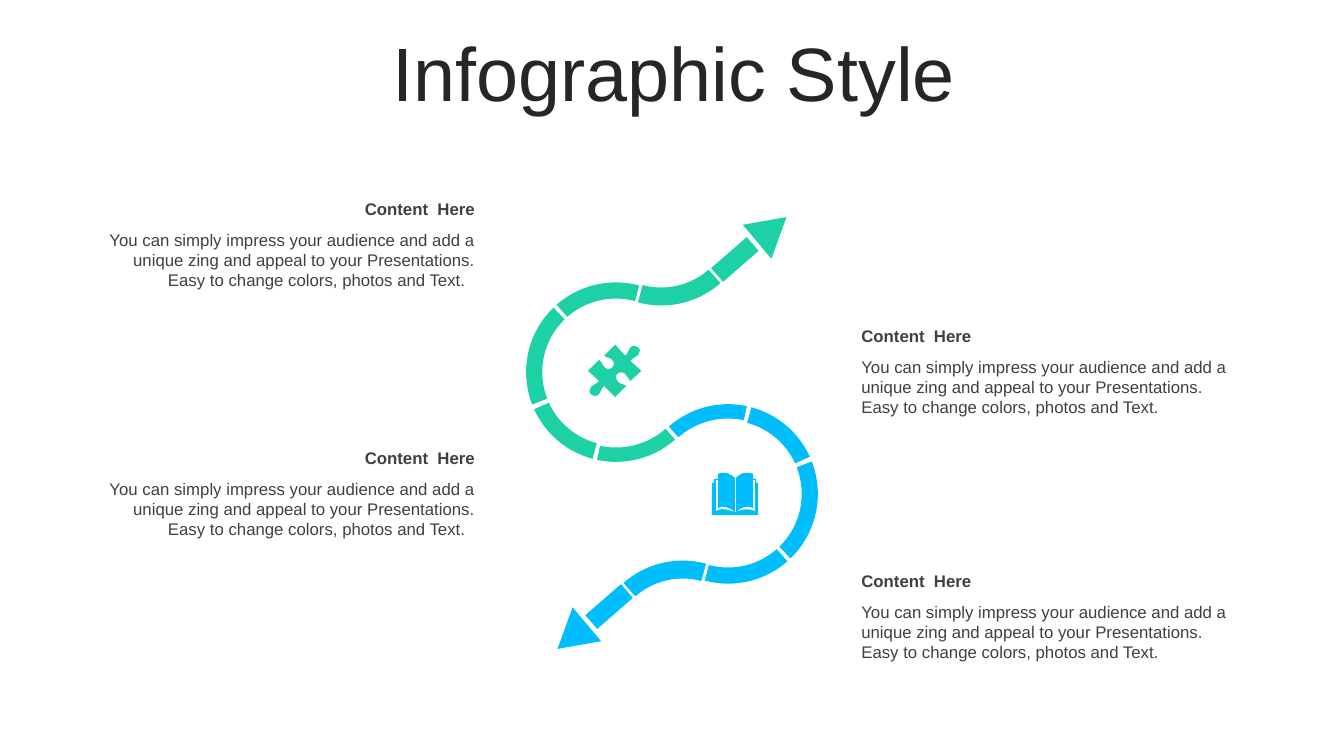
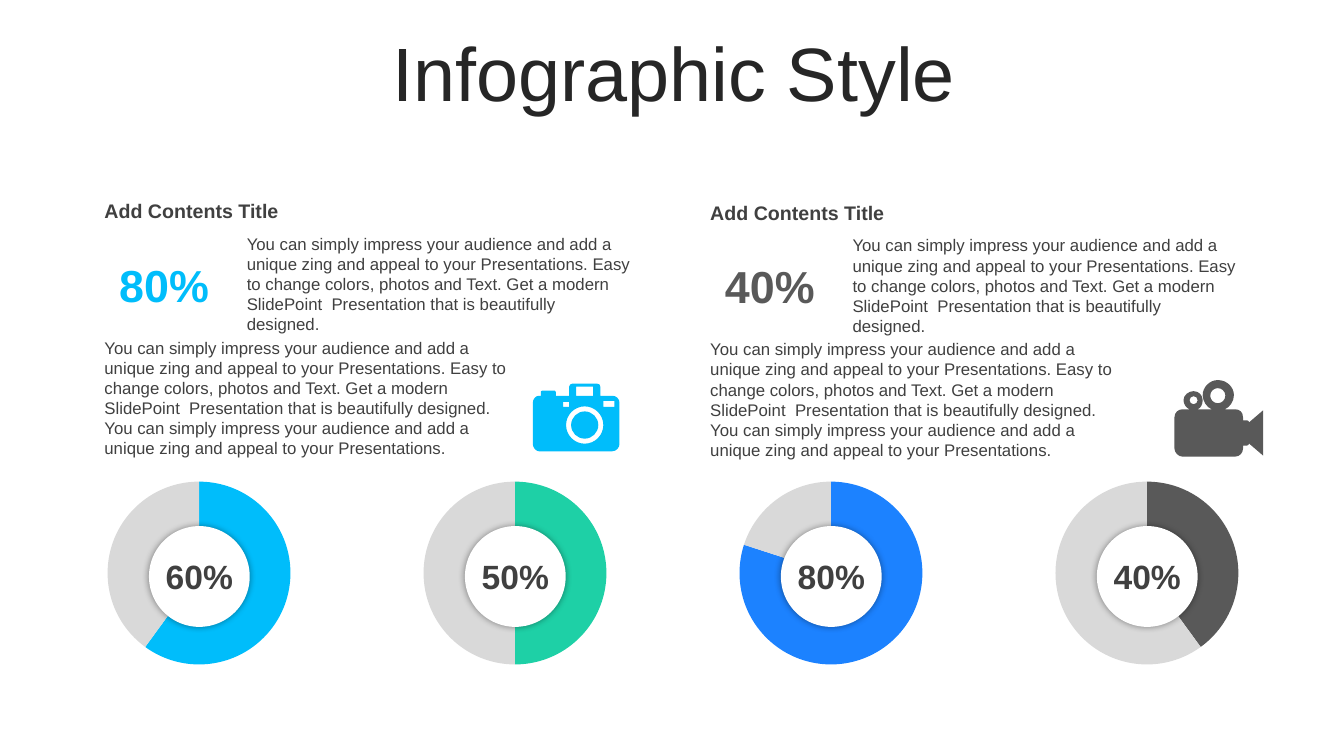
import pptx
import pptx.chart.data
import pptx.dml.color
import pptx.enum.chart
import pptx.enum.shapes
import pptx.enum.text
import pptx.oxml
import pptx.oxml.ns
import pptx.util

Pt = pptx.util.Pt
qn = pptx.oxml.ns.qn
SHAPE = pptx.enum.shapes.MSO_SHAPE
ALIGN = pptx.enum.text.PP_ALIGN
ANCHOR = pptx.enum.text.MSO_ANCHOR

# Shared style
FONT = "Arial"
INK, TITLE_INK = "404040", "262626"
GREEN, CYAN, BLUE, GRAY = "1ED0A6", "00BDFB", "1C82FF", "595959"
WHITE, TRACK = "FFFFFF", "D9D9D9"
TITLE = "Infographic Style"

# Content
PITCH = ("You can simply impress your audience and add a unique zing and appeal "
         "to your Presentations.")
SHORT_TEXT = PITCH + " Easy to change colors, photos and Text."
LONG_TEXT = SHORT_TEXT + " Get a modern SlidePoint  Presentation that is beautifully designed."

# left, top, width, alignment, text
LEFT_NOTE = SHORT_TEXT + "  "
NOTES = [
    (64.8, 138.6, 281.5, ALIGN.RIGHT, LEFT_NOTE),
    (608.2, 229.3, 278.3, ALIGN.LEFT, SHORT_TEXT),
    (64.8, 316.4, 281.5, ALIGN.RIGHT, LEFT_NOTE),
    (608.2, 404.4, 278.3, ALIGN.LEFT, SHORT_TEXT),
]

# left, top, share, colour
PANELS = [(67.5, 138.6, "80%", CYAN), (500.2, 139.8, "40%", GRAY)]

DONUTS = [(60, CYAN), (50, GREEN), (80, BLUE), (40, GRAY)]

# Upper half of the winding arrow; the lower half is its half turn
# shape, centre x, centre y, width, height, rotation, adjustments
ROAD_CENTER = (480, 309.3)
BEND = (SHAPE.BLOCK_ARC, 439.9, 265.8, 128.2, 128.2)
ROAD = [
    (*BEND, 285, (140.29, 180.58, 0.09)),
    (*BEND, 285, (182.21, 0.07, 0.09)),
    (*BEND, 285, (108, 138.3, 0.09)),
    (*BEND, 105, (182.21, 214.26, 0.08)),
    (SHAPE.BLOCK_ARC, 472.3, 154.1, 128.2, 128.2, 105, (182.21, 0.02, 0.1)),
    (SHAPE.RECTANGLE, 524.9, 185.4, 13, 33.8, 49, ()),
    (SHAPE.ISOSCELES_TRIANGLE, 551.3, 163.9, 31.7, 27.4, 50, ()),
]

# Icon outlines: M move, L line, C curve, O circle (centre, radius), R rectangle
ICON_UNIT = 0.72
ARITY = {"M": 2, "L": 2, "C": 6, "O": 3, "R": 4}
PUZZLE = """
M 50 3 C 52 4 52 8 50 10 C 48 13 45 12 42 16 L 53 26 L 42 36
C 39 34 40 31 37 29 C 35 27 31 27 29 29 C 28 30 27 34 30 37 C 33 40 34 38 38 41
L 27 52 L 16 41 C 12 45 14 46 11 49 C 9 52 5 51 3 49 C 1 48 1 44 3 42
C 5 39 8 40 11 36 L 0 26 L 11 15 C 15 18 14 21 17 23 C 19 25 22 25 24 23
C 26 21 27 18 24 15 C 21 12 20 14 16 11 L 27 0 L 37 11 C 41 7 39 6 42 3
C 45 0 48 1 50 3"""
BOOK = """
M 23 39 L 24 39 C 31 36 35 35 43 38 L 43 7 L 41 7 C 41 16 41 25 41 35
C 35 32 29 34 24 39 L 24 5 C 27 2 30 0 34 0 C 36 0 38 0 41 1 L 41 6 L 44 6 L 44 10
L 46 10 L 46 42 L 0 42 L 0 10 L 2 10 L 2 6 L 6 6 L 6 1 C 8 0 10 0 12 0
C 16 0 19 2 23 5 L 23 39 C 17 34 11 32 6 35 L 6 7 L 4 7 L 4 38 C 11 34 16 37 23 39"""
CAMERA = """
O 51.5 41 13.5 O 51.5 41 18.5 R 30 18 6 5 R 70 17 11 6 R 43 3 17 9
M 39 0 L 64 0 C 66 0 67 1 67 3 L 67 12 L 79 12 C 83 12 86 15 86 19 L 86 60
C 86 63 83 67 79 67 L 6 67 C 3 67 0 63 0 60 L 0 19 C 0 15 3 12 6 12 L 8 12 L 8 9
C 8 8 8 7 9 7 L 22 7 C 22 7 23 8 23 9 L 23 12 L 36 12 L 36 3 C 36 1 38 0 39 0"""
MOVIE = """
O 19 20 4 O 43 15.5 7.5
M 43 0 C 52 0 59 7 59 15 C 59 21 55 27 50 29 L 60 29 C 65 29 68 32 68 37 L 68 40
L 72 40 C 73 40 74 41 74 42 L 88 30 L 88 75 L 74 63 C 74 64 73 65 72 65 L 68 65
L 68 68 C 68 72 65 76 60 76 L 8 76 C 4 76 0 72 0 68 L 0 37 C 0 32 4 29 8 29
L 15 29 C 12 28 9 24 9 20 C 9 15 14 11 19 11 C 24 11 28 15 28 20
C 28 24 26 28 23 29 L 37 29 C 32 27 28 21 28 15 C 28 7 35 0 43 0"""


def rgb(color):
    return pptx.dml.color.RGBColor.from_string(color)


def set_font(para, size, color, bold=False):
    font = para.font
    font.name, font.size, font.bold = FONT, Pt(size), bold
    font.color.rgb = rgb(color)


def paint(shape, color):
    shape.shadow.inherit = False
    shape.fill.solid()
    shape.fill.fore_color.rgb = rgb(color)
    shape.line.fill.background()
    return shape


def add_page(deck):
    page = deck.slides.add_slide(deck.slide_layouts[5])
    title = page.shapes.title
    title.left, title.top, title.width, title.height = map(Pt, (25.5, 26.6, 911.5, 56.9))
    frame = title.text_frame
    frame.text = TITLE
    frame.word_wrap = True
    frame.auto_size = pptx.enum.text.MSO_AUTO_SIZE.NONE
    frame.vertical_anchor = ANCHOR.MIDDLE
    para = frame.paragraphs[0]
    para.alignment, para.line_spacing = ALIGN.CENTER, 0.9
    set_font(para, 54, TITLE_INK)
    return page


def add_text(page, text, left, top, width, height, size=12, color=INK, bold=False,
             align=ALIGN.LEFT, anchor=ANCHOR.TOP):
    box = page.shapes.add_textbox(Pt(left), Pt(top), Pt(width), Pt(height))
    frame = box.text_frame
    frame.word_wrap = True
    frame.vertical_anchor = anchor
    para = frame.paragraphs[0]
    para.text, para.alignment = text, align
    set_font(para, size, color, bold)


def add_centered(page, kind, x, y, width, height, color):
    shape = page.shapes.add_shape(kind, Pt(x - width / 2), Pt(y - height / 2),
                                  Pt(width), Pt(height))
    return paint(shape, color)


def circle(x, y, radius):
    pull = 0.55 * radius
    compass = [(0, -1), (1, 0), (0, 1), (-1, 0), (0, -1)]
    points = [(x, y - radius)]
    for (ax, ay), (bx, by) in zip(compass, compass[1:]):
        points += [(x + radius * ax + pull * bx, y + radius * ay + pull * by),
                   (x + radius * bx + pull * ax, y + radius * by + pull * ay),
                   (x + radius * bx, y + radius * by)]
    return points


def read_outline(outline):
    """Return the contours as point lists, and the kinds of their segments in order."""
    contours, kinds = [], ""
    tokens = iter(outline.split())
    for command in tokens:
        values = [float(next(tokens)) for _ in range(ARITY[command])]
        if command == "O":
            contours.append(circle(*values))
            kinds += "CCCC"
        elif command == "R":
            x, y, width, height = values
            contours.append([(x, y), (x, y + height), (x + width, y + height), (x + width, y)])
            kinds += "LLL"
        else:
            points = list(zip(values[::2], values[1::2]))
            if command == "M":
                contours.append(points)
            else:
                contours[-1].extend(points)
                kinds += command
    return contours, kinds


def bend_segments(shape, kinds):
    """Join the three lines drawn for each curve into one cubic segment."""
    lines = iter(list(shape.element.iter(qn("a:lnTo"))))
    for kind in kinds:
        first = next(lines)
        if kind == "C":
            first.tag = qn("a:cubicBezTo")
            for line in (next(lines), next(lines)):
                first.append(line[0])
                line.getparent().remove(line)


def add_icon(page, outline, left, top, color):
    contours, kinds = read_outline(outline)
    builder = None
    for contour in contours:
        start, *rest = [(Pt(left + ICON_UNIT * x), Pt(top + ICON_UNIT * y)) for x, y in contour]
        if builder is None:
            builder = page.shapes.build_freeform(*start)
        else:
            builder.move_to(*start)
        builder.add_line_segments(rest, close=True)
    bend_segments(paint(builder.convert_to_shape(), color), kinds)


def add_road(page, color, half_turn):
    for kind, x, y, width, height, rotation, adjustments in ROAD:
        if half_turn:
            x, y = 2 * ROAD_CENTER[0] - x, 2 * ROAD_CENTER[1] - y
            rotation = (rotation + 180) % 360
        part = add_centered(page, kind, x, y, width, height, color)
        part.rotation = rotation
        for index, value in enumerate(adjustments):
            part.adjustments[index] = value


def add_donut(page, share, color, x):
    data = pptx.chart.data.CategoryChartData()
    data.categories = ["1", "2"]
    data.add_series("Series 1", (share, 100 - share))
    chart = page.shapes.add_chart(pptx.enum.chart.XL_CHART_TYPE.DOUGHNUT, Pt(x - 65.7),
                                  Pt(344), Pt(131), Pt(135.4), data).chart
    chart.has_legend = chart.has_title = False
    chart.font.name, chart.font.size = FONT, Pt(18)
    chart.font.color.rgb = rgb("000000")
    plot = chart.plots[0]
    plot.vary_by_categories = True
    for index, fill in enumerate((color, TRACK)):
        style = plot.series[0].points[index].format
        style.fill.solid()
        style.fill.fore_color.rgb = rgb(fill)
        style.line.fill.background()

    # Hole size and plot area
    area = chart.element.find(".//" + qn("c:plotArea"))
    area.find(".//" + qn("c:holeSize")).set("val", "80")
    for old in area.findall(qn("c:layout")):
        area.remove(old)
    area.insert(0, pptx.oxml.parse_xml(
        f'<c:layout {pptx.oxml.ns.nsdecls("c")}><c:manualLayout>'
        '<c:layoutTarget val="inner"/><c:xMode val="edge"/><c:yMode val="edge"/>'
        '<c:x val="0"/><c:y val="0"/><c:w val="1"/><c:h val="0.965"/>'
        '</c:manualLayout></c:layout>'))

    # Raised centre with its label
    disc = add_centered(page, SHAPE.OVAL, x, 411.8, 72, 72, WHITE)
    effects = disc.element.spPr.find(qn("a:effectLst"))
    effects.append(pptx.oxml.parse_xml(
        f'<a:outerShdw {pptx.oxml.ns.nsdecls("a")} blurRad="{Pt(5)}" dist="0" dir="0">'
        '<a:srgbClr val="000000"><a:alpha val="40000"/></a:srgbClr></a:outerShdw>'))
    add_text(page, f"{share}%", x - 36.7, 393.8, 73.4, 36, 24, bold=True,
             align=ALIGN.CENTER, anchor=ANCHOR.MIDDLE)


def build_road_page(deck):
    page = add_page(deck)
    for left, top, width, align, text in NOTES:
        add_text(page, "Content  Here", left, top, width, 21.8, bold=True, align=align)
        add_text(page, text, left, top + 21.9, width, 51, align=align)
    add_road(page, GREEN, False)
    add_road(page, CYAN, True)
    add_icon(page, PUZZLE, 420, 246.2, GREEN)
    add_icon(page, BOOK, 508.5, 337.7, CYAN)


def build_donut_page(deck):
    page = add_page(deck)
    for left, top, share, color in PANELS:
        add_text(page, "Add Contents Title", left, top, 198, 24.2, 14, bold=True)
        add_text(page, share, left, top + 41.5, 99.4, 46, 32, color, True,
                 ALIGN.CENTER, ANCHOR.MIDDLE)
        add_text(page, LONG_TEXT, left + 101.7, top + 24.6, 290.2, 80)
        add_text(page, f"{LONG_TEXT} {PITCH}", left, top + 98.8, 313.2, 94.5)
    add_icon(page, CAMERA, 380.6, 274.1, CYAN)
    add_icon(page, MOVIE, 838.9, 271.5, GRAY)
    for index, (share, color) in enumerate(DONUTS):
        add_donut(page, share, color, 142.4 + 225.7 * index)


def main():
    deck = pptx.Presentation()
    deck.slide_width, deck.slide_height = Pt(960), Pt(540)
    build_road_page(deck)
    build_donut_page(deck)
    deck.save("out.pptx")


if __name__ == "__main__":
    main()
